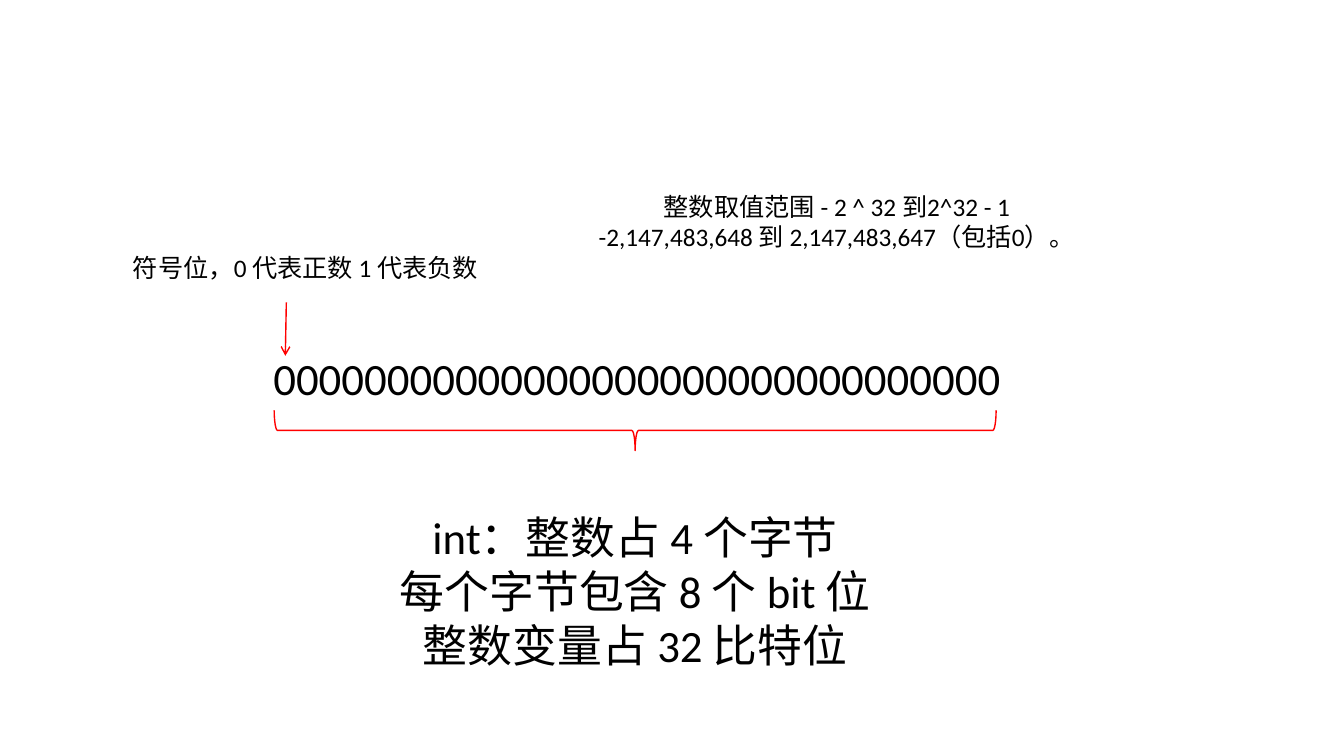
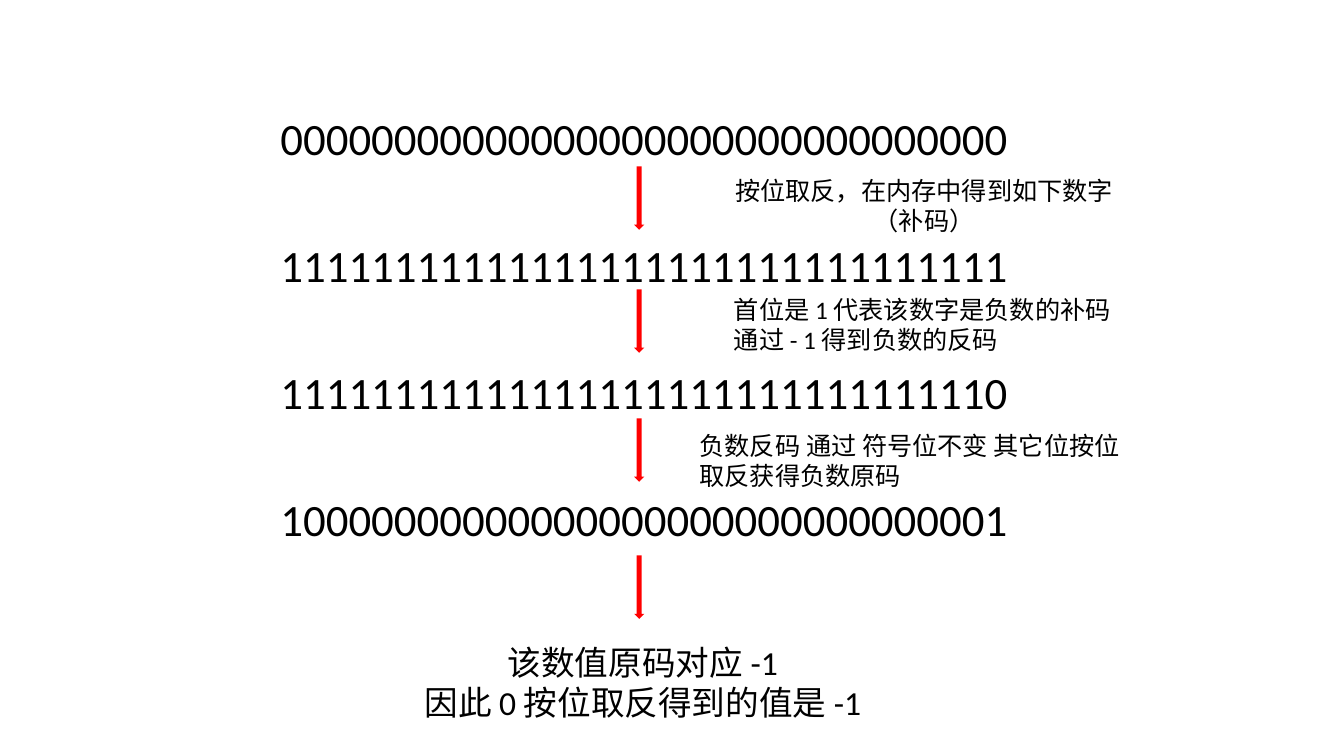
"""Build two slides on the 32-bit integer and bitwise inversion."""
from lxml import etree
from pptx import Presentation
from pptx import util as u
from pptx.dml.color import RGBColor
from pptx.enum import shapes, text
from pptx.oxml.ns import qn

PX = 9144
RED = "FF0000"
BLACK = "000000"
FONT = "Calibri"
MID = text.PP_ALIGN.CENTER
LEFT = text.PP_ALIGN.LEFT


def tint(code):
    return RGBColor.from_string(code)


def write(slide, spot, size, lines, align=MID):
    box = slide.shapes.add_textbox(*[n * PX for n in spot])
    frame = box.text_frame
    frame.word_wrap = True
    frame.auto_size = text.MSO_AUTO_SIZE.SHAPE_TO_FIT_TEXT
    for i, line in enumerate(lines):
        para = frame.add_paragraph() if i else frame.paragraphs[0]
        para.alignment = align
        run = para.add_run()
        run.text = line
        run.font.size = u.Pt(size)
        run.font.name = FONT
        run.font.color.rgb = tint(BLACK)


deck = Presentation()
deck.slide_width = 1333 * PX
deck.slide_height = 750 * PX
blank = deck.slide_layouts[6]

page = deck.slides.add_slide(blank)
write(page, (242, 343, 780, 64), 32, ["0" * 32])
write(page, (103, 245, 400, 40), 18, ["符号位，0 代表正数 1 代表负数"])
write(page, (295, 501, 670, 172), 32,
      ["int：整数占 4 个字节", "每个字节包含 8 个 bit 位", "整数变量占 32 比特位"])
write(page, (569, 185, 522, 71), 18,
      ["整数取值范围 - 2 ^ 32 到2^32 - 1",
       "-2,147,483,648 到 2,147,483,647（包括0）。"])

ray = page.shapes.add_connector(shapes.MSO_CONNECTOR.STRAIGHT,
                                284 * PX, 300 * PX, 283 * PX, 353 * PX)
ray.line.color.rgb = tint(RED)
ray.line.width = u.Pt(1)
tail = etree.SubElement(ray.line._get_or_add_ln(), qn("a:tailEnd"))
tail.set("type", "arrow")
etree.SubElement(ray._element.spPr, qn("a:effectLst"))

brace = page.shapes.add_shape(shapes.MSO_SHAPE.LEFT_BRACE,
                              610 * PX, 69 * PX, 40 * PX, 716 * PX)
brace.rotation = 270
brace.shadow.inherit = False
brace.fill.background()
brace.line.color.rgb = tint(RED)
brace.line.width = u.Pt(1)

page = deck.slides.add_slide(blank)
rows = ["0" * 32, "1" * 32, "1" * 31 + "0", "1" + "0" * 30 + "1"]
for i, bits in enumerate(rows):
    write(page, (249, 105 + 126 * i, 780, 64), 32, [bits])

for top in (165, 287, 415, 551):
    arrow = page.shapes.add_shape(shapes.MSO_SHAPE.DOWN_ARROW,
                                  629 * PX, top * PX, 10 * PX, 63 * PX)
    arrow.shadow.inherit = False
    arrow.fill.solid()
    arrow.fill.fore_color.rgb = tint(RED)
    arrow.line.fill.background()

notes = [
    ((704, 169, 425, 71), MID, ["按位取反，在内存中得到如下数字", "（补码）"]),
    ((718, 287, 444, 71), LEFT,
     ["首位是 1 代表该数字是负数的补码", "通过 - 1 得到负数的反码"]),
    ((684, 422, 444, 71), LEFT,
     ["负数反码 通过 符号位不变 其它位按位取反获得负数原码"]),
]
for spot, align, lines in notes:
    write(page, spot, 18, lines, align)
write(page, (378, 632, 519, 91), 24,
      ["该数值原码对应 -1", "因此 0 按位取反得到的值是 -1"])

deck.save("out.pptx")
